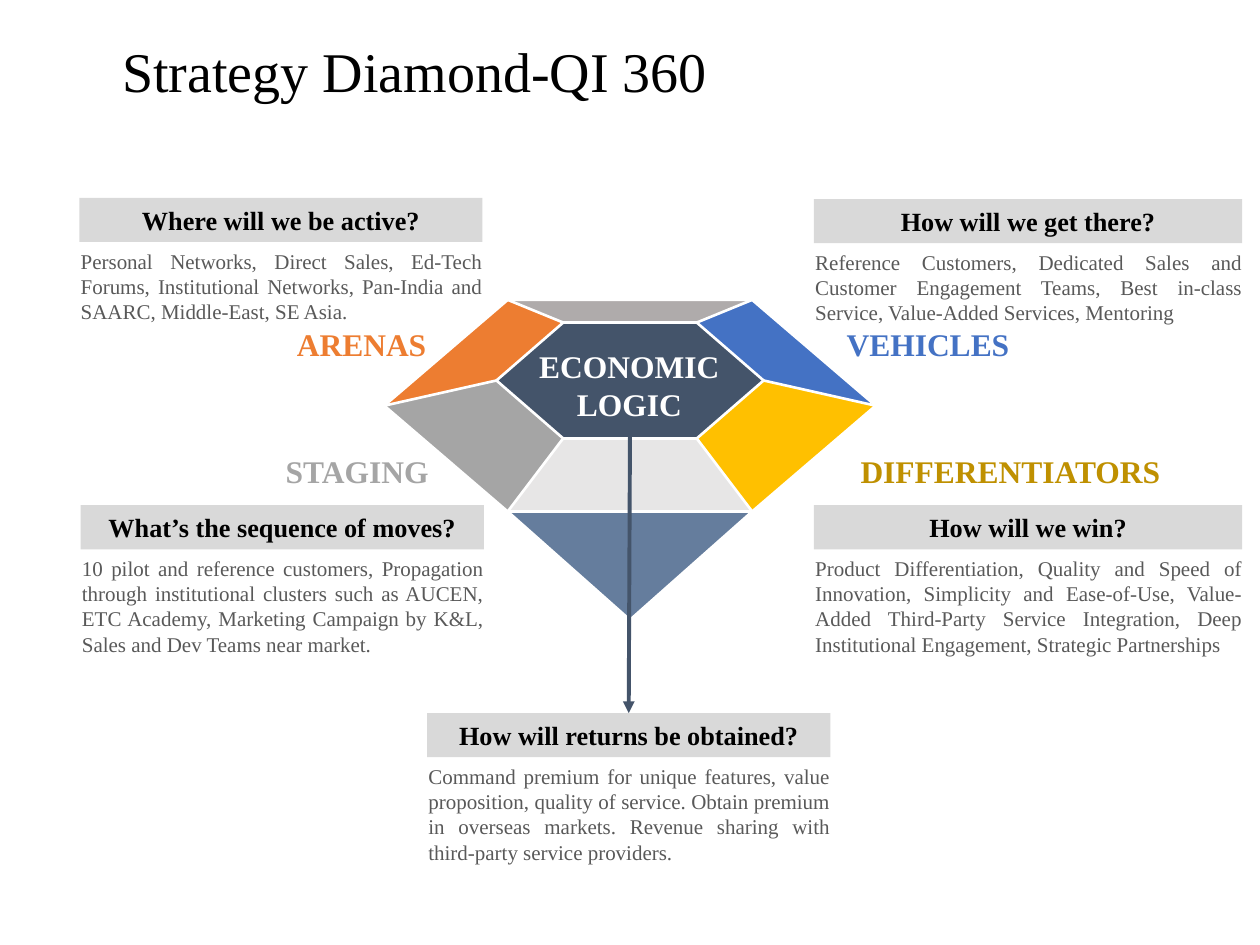
from dataclasses import dataclass
from lxml.etree import SubElement
from pptx import Presentation
from pptx.dml.color import RGBColor
from pptx.enum.shapes import MSO_CONNECTOR, MSO_SHAPE
from pptx.enum.text import MSO_ANCHOR as Anchor, PP_ALIGN as Align
from pptx.oxml.ns import qn
from pptx.util import Inches, Pt


@dataclass(frozen=True)
class Theme:
    font: str = "Times New Roman"
    black: str = "000000"
    white: str = "FFFFFF"
    band: str = "D9D9D9"
    body: str = "595959"
    navy: str = "44546A"
    steel: str = "657D9D"
    gray: str = "A5A5A5"
    silver: str = "AFABAB"
    pale: str = "E7E6E6"
    orange: str = "ED7D31"
    blue: str = "4472C4"
    yellow: str = "FFC000"
    gold: str = "BF9000"
    title_size: int = 32
    label_size: int = 18
    heading_size: int = 15
    body_size: int = 12
    edge_width: float = 1.5
    arrow_width: float = 2.25


THEME = Theme()
TITLE = "Strategy Diamond-QI 360"
CORE_LABEL = "ECONOMIC LOGIC"

LABELS = [
    ("VEHICLES", THEME.blue, 6.61, 2.53, 1.51),
    ("DIFFERENTIATORS", THEME.gold, 6.72, 3.54, 2.6),
    ("ARENAS", THEME.orange, 2.25, 2.53, 1.24),
    ("STAGING", THEME.gray, 2.16, 3.54, 1.35),
]

PANELS = [
    ("How will we get there?",
     "Reference Customers, Dedicated Sales and Customer Engagement Teams, Best in-class "
     "Service, Value-Added Services, Mentoring",
     6.46, 1.58, 3.4, 0.71),
    ("Where will we be active?",
     "Personal Networks, Direct Sales, Ed-Tech Forums, Institutional Networks, "
     "Pan-India and SAARC, Middle-East, SE Asia.",
     0.63, 1.57, 3.2, 0.71),
    ("How will we win?",
     "Product Differentiation, Quality and Speed of Innovation, Simplicity and Ease-of-Use, "
     "Value-Added Third-Party Service Integration, Deep Institutional Engagement, "
     "Strategic Partnerships",
     6.46, 4.01, 3.4, 0.91),
    ("What’s the sequence of moves?",
     "10 pilot and reference customers, Propagation through institutional clusters such as "
     "AUCEN, ETC Academy, Marketing Campaign by K&L, Sales and Dev Teams near market.",
     0.64, 4.01, 3.2, 0.91),
    ("How will returns be obtained?",
     "Command premium for unique features, value proposition, quality of service. Obtain "
     "premium in overseas markets. Revenue sharing with third-party service providers.",
     3.39, 5.66, 3.2, 0.91),
]
HEADING_HEIGHT = 0.35

CENTER = 5
OUTER_TOP, OUTER_SIDE, OUTER_BOTTOM = (0.97, 2.38), (1.95, 3.22), (0.97, 4.06)
CORE_TOP, CORE_SIDE, CORE_BOTTOM = (0.53, 2.56), (1.06, 3.02), (0.53, 3.48)
TIP = (0, 4.92)


def mirrored(points):
    return [(-x, y) for x, y in points]


def symmetric(right_side):
    return right_side + mirrored(right_side[::-1])


UPPER_FACET = [OUTER_TOP, OUTER_SIDE, CORE_SIDE, CORE_TOP]
LOWER_FACET = [OUTER_SIDE, OUTER_BOTTOM, CORE_BOTTOM, CORE_SIDE]
PAVILION = [CORE_BOTTOM, OUTER_BOTTOM, TIP, *mirrored([OUTER_BOTTOM, CORE_BOTTOM])]
CORE = symmetric([CORE_TOP, CORE_SIDE, CORE_BOTTOM])
GIRDLE = symmetric([OUTER_TOP, OUTER_SIDE, OUTER_BOTTOM])
FACETS = [
    (PAVILION, THEME.steel),
    (mirrored(LOWER_FACET), THEME.gray),
    (CORE, THEME.navy),
    (LOWER_FACET, THEME.yellow),
    (mirrored(UPPER_FACET), THEME.orange),
    (UPPER_FACET, THEME.blue),
    (symmetric([OUTER_TOP, CORE_TOP]), THEME.silver),
]
BASE_BOX = (4.03, 3.48, 1.94, 0.58)
BASE_SLANT = 0.76
OUTLINES = [(GIRDLE, True), (CORE, True), (PAVILION, False)]
RIDGES = [(OUTER_SIDE, CORE_SIDE), (OUTER_TOP, CORE_TOP)]


def rgb(color):
    return RGBColor.from_string(color)


def paint(shape, color):
    shape.shadow.inherit = False
    shape.fill.solid()
    shape.fill.fore_color.rgb = rgb(color)
    shape.line.fill.background()


def stroke(line, color, width):
    line.color.rgb = rgb(color)
    line.width = Pt(width)


def write(shape, text, size, color, align, anchor, bold=False, side=0.1, wrap=True):
    frame = shape.text_frame
    frame.text = text
    frame.word_wrap = wrap
    frame.vertical_anchor = anchor
    frame.margin_left = frame.margin_right = Inches(side)
    frame.margin_top = frame.margin_bottom = Inches(0.05)
    para = frame.paragraphs[0]
    para.alignment = align
    font = para.runs[0].font
    font.name, font.size, font.bold = THEME.font, Pt(size), bold
    font.color.rgb = rgb(color)
    return para


def add_text(slide, box, *args, **options):
    write(slide.shapes.add_textbox(*map(Inches, box)), *args, **options)


def add_title(slide):
    title = slide.shapes.title
    title.left, title.top, title.width, title.height = map(Inches, (0.87, 0.41, 6.75, 0.36))
    para = write(title, TITLE, THEME.title_size, THEME.black, Align.LEFT, Anchor.MIDDLE)
    para.line_spacing = 0.9


def add_outline(slide, points, close=True):
    corners = [(Inches(CENTER + x), Inches(y)) for x, y in points]
    builder = slide.shapes.build_freeform(*corners[0])
    builder.add_line_segments(corners[1:], close=close)
    outline = builder.convert_to_shape()
    outline.shadow.inherit = False
    outline.fill.background()
    stroke(outline.line, THEME.white, THEME.edge_width)
    return outline


def add_line(slide, start, end, color, width):
    ends = map(Inches, (CENTER + start[0], start[1], CENTER + end[0], end[1]))
    connector = slide.shapes.add_connector(MSO_CONNECTOR.STRAIGHT, *ends)
    stroke(connector.line, color, width)
    SubElement(connector._element.spPr, qn("a:effectLst"))
    return connector


def add_diamond(slide):
    for points, color in FACETS:
        paint(add_outline(slide, points), color)
    base = slide.shapes.add_shape(MSO_SHAPE.TRAPEZOID, *map(Inches, BASE_BOX))
    base.adjustments[0] = BASE_SLANT
    paint(base, THEME.pale)
    for points, close in OUTLINES:
        add_outline(slide, points, close)
    for ridge in RIDGES:
        for start, end in (ridge, mirrored(ridge)):
            add_line(slide, start, end, THEME.white, THEME.edge_width)
    add_text(slide, (4.06, 2.7, 1.87, 0.71), CORE_LABEL, THEME.label_size, THEME.white,
             Align.CENTER, Anchor.MIDDLE, bold=True)


def add_arrow(slide):
    arrow = add_line(slide, (0, 3.36), (-0.01, 5.66), THEME.navy, THEME.arrow_width)
    line = arrow.line._get_or_add_ln()
    SubElement(line, qn("a:headEnd"), type="oval")
    SubElement(line, qn("a:tailEnd"), type="triangle")


def add_panel(slide, heading, body, left, top, width, body_height):
    band_box = map(Inches, (left, top, width, HEADING_HEIGHT))
    band = slide.shapes.add_shape(MSO_SHAPE.RECTANGLE, *band_box)
    paint(band, THEME.band)
    write(band, heading, THEME.heading_size, THEME.black, Align.CENTER, Anchor.BOTTOM,
          bold=True, side=0)
    body_box = (left + 0.01, top + HEADING_HEIGHT, width - 0.01, body_height)
    add_text(slide, body_box, body, THEME.body_size, THEME.body, Align.JUSTIFY, Anchor.TOP,
             side=0)


def main():
    deck = Presentation()
    deck.slide_width, deck.slide_height = Inches(10), Inches(7.5)
    slide = deck.slides.add_slide(deck.slide_layouts[5])
    add_title(slide)
    for text, color, left, top, width in LABELS:
        add_text(slide, (left, top, width, 0.4), text, THEME.label_size, color,
                 Align.CENTER, Anchor.BOTTOM, bold=True, wrap=False)
    add_diamond(slide)
    add_arrow(slide)
    for panel in PANELS:
        add_panel(slide, *panel)
    deck.save("out.pptx")


if __name__ == "__main__":
    main()
